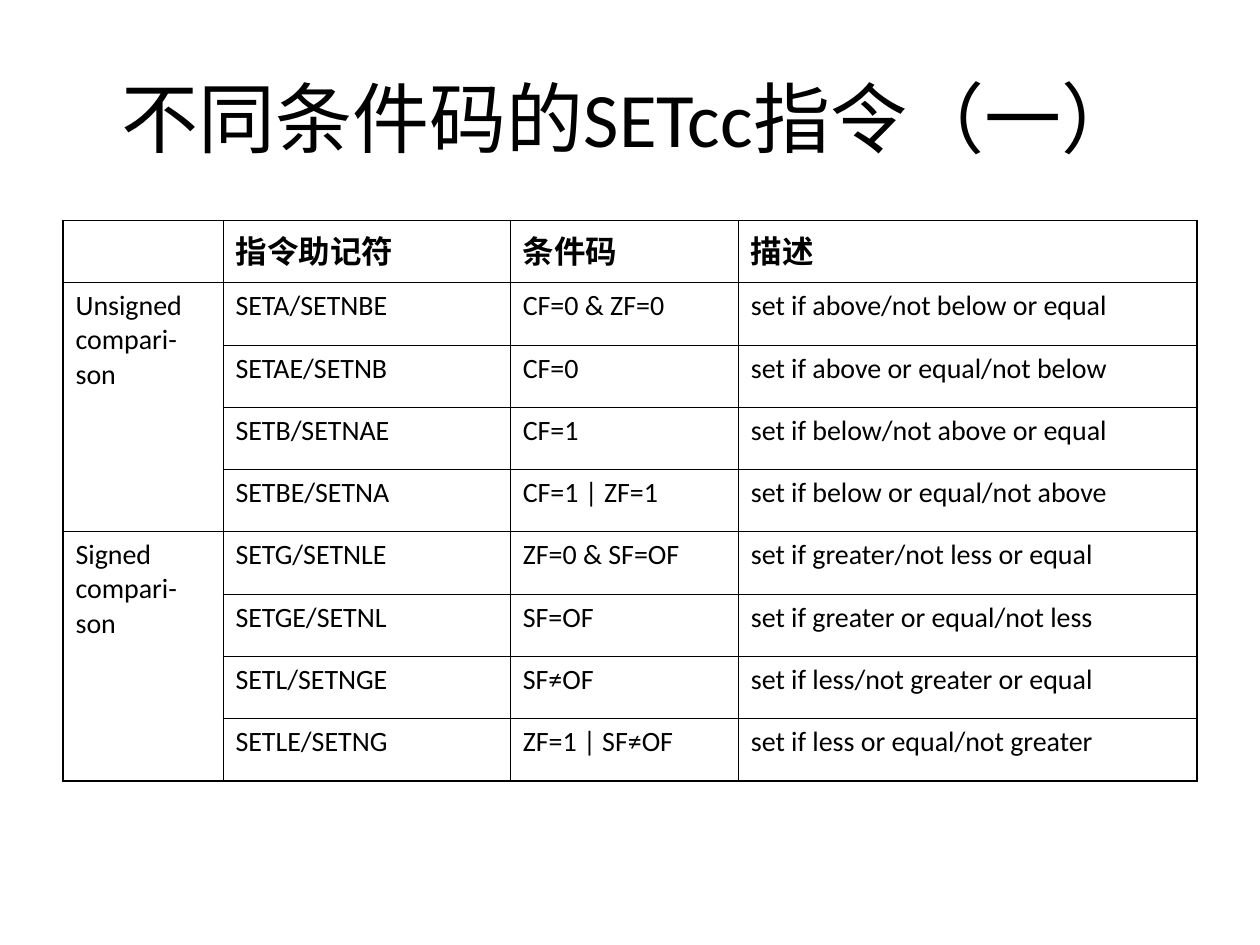
from dataclasses import dataclass

from lxml import etree
from pptx import Presentation
from pptx.dml.color import RGBColor
from pptx.enum.text import MSO_ANCHOR, PP_ALIGN
from pptx.oxml.ns import qn
from pptx.util import Inches, Pt

CENTER, LEFT = PP_ALIGN.CENTER, PP_ALIGN.LEFT
TOP, MIDDLE = MSO_ANCHOR.TOP, MSO_ANCHOR.MIDDLE

COLORS = {"text": "000000", "border": "000000"}
FONT = "Calibri"
BLANK_LAYOUT = 6
THIN, THICK = 0.45, 1.08
TABLE_WIDTH, TABLE_HEIGHT = 9, 4.45
COLUMN_WIDTHS = [1.27, 2.28, 1.81, 3.64]
HEADERS = ["", "指令助记符", "条件码", "描述"]


@dataclass
class InstructionGroup:
    name: str
    instructions: list[tuple[str, str, str]]


GROUPS = [
    InstructionGroup("Unsigned compari-son", [
        ("SETA/SETNBE", "CF=0 & ZF=0", "set if above/not below or equal"),
        ("SETAE/SETNB", "CF=0", "set if above or equal/not below"),
        ("SETB/SETNAE", "CF=1", "set if below/not above or equal"),
        ("SETBE/SETNA", "CF=1 | ZF=1", "set if below or equal/not above"),
    ]),
    InstructionGroup("Signed compari-son", [
        ("SETG/SETNLE", "ZF=0 & SF=OF", "set if greater/not less or equal"),
        ("SETGE/SETNL", "SF=OF", "set if greater or equal/not less"),
        ("SETL/SETNGE", "SF≠OF", "set if less/not greater or equal"),
        ("SETLE/SETNG", "ZF=1 | SF≠OF", "set if less or equal/not greater"),
    ]),
]


def write_text(text_frame, text: str, *, size: float, bold: bool = False,
               align=LEFT) -> None:
    paragraph = text_frame.paragraphs[0]
    paragraph.alignment = align
    run = paragraph.add_run()
    run.text = text
    run.font.name = FONT
    run.font.size = Pt(size)
    run.font.bold = bold
    run.font.color.rgb = RGBColor.from_string(COLORS["text"])


def set_borders(cell, widths: dict[str, float]) -> None:
    """Put the border lines, in schema order, ahead of the cell fill."""
    properties = cell._tc.get_or_add_tcPr()
    for index, side in enumerate("LRTB"):
        line = etree.Element(qn(f"a:ln{side}"), w=str(Pt(widths[side])))
        fill = etree.SubElement(line, qn("a:solidFill"))
        etree.SubElement(fill, qn("a:srgbClr"), val=COLORS["border"])
        properties.insert(index, line)


def add_title(slide, text: str) -> None:
    title = slide.shapes.add_textbox(Inches(0.5), Inches(0.3), Inches(9), Inches(1.25))
    title.text_frame.word_wrap = True
    title.text_frame.vertical_anchor = MIDDLE
    write_text(title.text_frame, text, size=44, align=CENTER)


def frame_cells(table) -> None:
    """Thin lines inside the table, thick lines around it."""
    row_count, column_count = len(table.rows), len(table.columns)
    for row in range(row_count):
        for column in range(column_count):
            cell = table.cell(row, column)
            cell.fill.background()
            cell.vertical_anchor = TOP
            if cell.is_spanned:
                continue
            end_row = row + (cell.span_height if cell.is_merge_origin else 1)
            set_borders(cell, {
                "L": THICK if column == 0 else THIN,
                "R": THICK if column == column_count - 1 else THIN,
                "T": THICK if row == 0 else THIN,
                "B": THICK if end_row == row_count else THIN,
            })


def add_instruction_table(slide, groups: list[InstructionGroup]) -> None:
    row_count = 1 + sum(len(group.instructions) for group in groups)
    table = slide.shapes.add_table(
        row_count, len(HEADERS), Inches(0.5), Inches(1.75),
        Inches(TABLE_WIDTH), Inches(TABLE_HEIGHT)).table
    table.first_row = table.horz_banding = False
    for column, width in zip(table.columns, COLUMN_WIDTHS):
        column.width = Inches(width)
    for row in table.rows:
        row.height = Inches(TABLE_HEIGHT / row_count)

    # Header row
    for column, header in enumerate(HEADERS):
        if header:
            write_text(table.cell(0, column).text_frame, header, size=18, bold=True)

    # One merged name cell for each group, with its instructions beside it
    first_row = 1
    for group in groups:
        last_row = first_row + len(group.instructions) - 1
        name_cell = table.cell(first_row, 0)
        name_cell.merge(table.cell(last_row, 0))
        write_text(name_cell.text_frame, group.name, size=16)
        for row, instruction in enumerate(group.instructions, first_row):
            for column, text in enumerate(instruction, 1):
                write_text(table.cell(row, column).text_frame, text, size=16)
        first_row = last_row + 1

    frame_cells(table)


def main() -> None:
    presentation = Presentation()
    presentation.slide_width = Inches(10)
    presentation.slide_height = Inches(7.5)
    slide = presentation.slides.add_slide(presentation.slide_layouts[BLANK_LAYOUT])
    add_title(slide, "不同条件码的SETcc指令（一）")
    add_instruction_table(slide, GROUPS)
    presentation.save("out.pptx")


if __name__ == "__main__":
    main()
